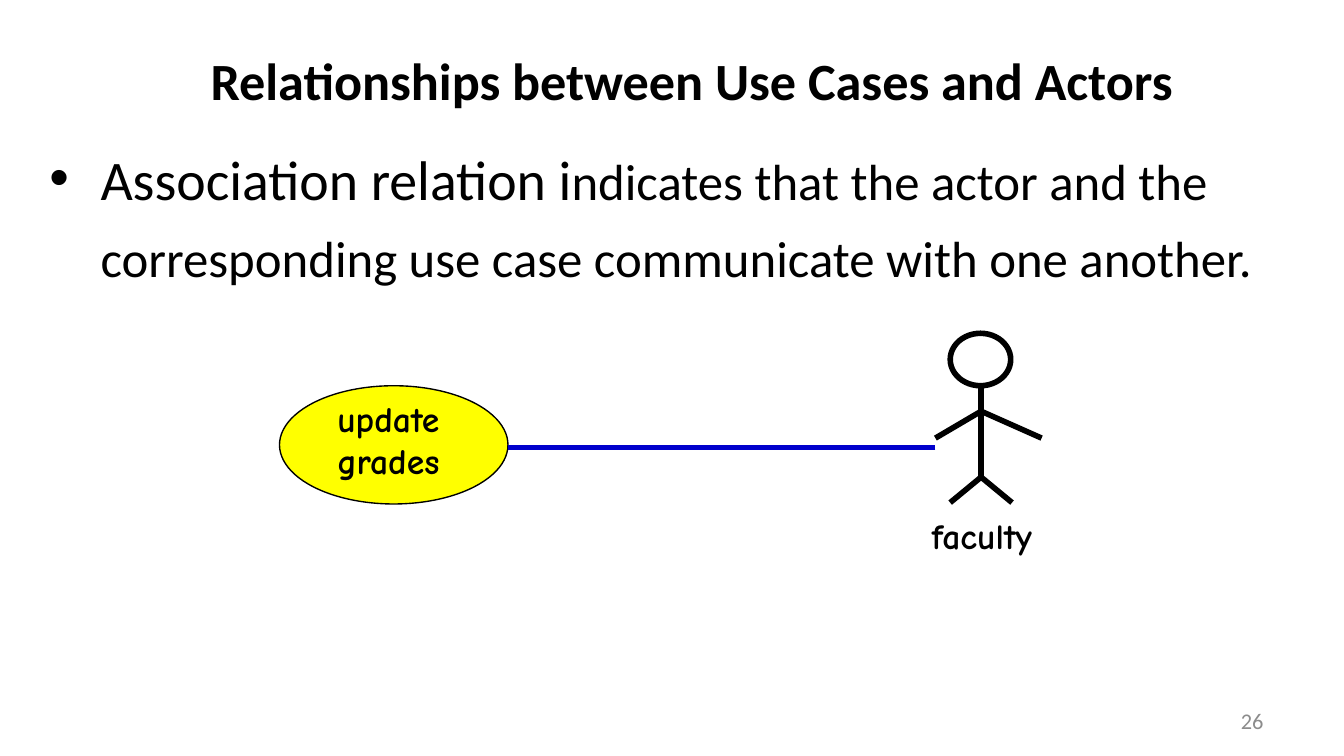
from lxml import etree
from pptx import Presentation
from pptx.dml.color import RGBColor
from pptx.enum.shapes import MSO_CONNECTOR, MSO_SHAPE
from pptx.enum.text import MSO_ANCHOR, PP_ALIGN
from pptx.oxml.ns import qn
from pptx.util import Inches, Pt

LEFT, CENTER, RIGHT = PP_ALIGN.LEFT, PP_ALIGN.CENTER, PP_ALIGN.RIGHT
TOP, MIDDLE = MSO_ANCHOR.TOP, MSO_ANCHOR.MIDDLE
OVAL = MSO_SHAPE.OVAL
STRAIGHT = MSO_CONNECTOR.STRAIGHT

BODY_FONT, LABEL_FONT = "Calibri", "Comic Neue"
BLACK, YELLOW, BLUE, GRAY = "000000", "FFFF00", "0000CC", "8C8C8C"


def color(value):
    return RGBColor.from_string(value)


def add_text(s, box, paragraphs, font=BODY_FONT, fill=BLACK, bold=False,
             align=LEFT, anchor=TOP, inset=(0.1, 0.05)):
    """Each paragraph is a list of (text, size) runs."""
    sp = s.shapes.add_textbox(*map(Inches, box))
    tf = sp.text_frame
    tf.word_wrap = True
    tf.vertical_anchor = anchor
    tf.margin_left = tf.margin_right = Inches(inset[0])
    tf.margin_top = tf.margin_bottom = Inches(inset[1])
    for i, runs in enumerate(paragraphs):
        p = tf.add_paragraph() if i else tf.paragraphs[0]
        p.alignment = align
        for text, size in runs:
            r = p.add_run()
            r.text = text
            r.font.name = font
            r.font.size = Pt(size)
            r.font.bold = bold
            r.font.color.rgb = color(fill)
    return sp


def add_label(s, box, *lines):
    add_text(s, box, [[(line, 19.1)] for line in lines], font=LABEL_FONT,
             bold=True, align=CENTER, inset=(0.07, 0.04))


def add_bullet(p, indent):
    pPr = p._p.get_or_add_pPr()
    pPr.set("marL", str(Inches(indent)))
    pPr.set("indent", str(-Inches(indent)))
    etree.SubElement(pPr, qn("a:buFont"), typeface="Arial")
    etree.SubElement(pPr, qn("a:buChar"), char="•")


def add_ellipse(s, box, width, fill=None):
    sp = s.shapes.add_shape(OVAL, *map(Inches, box))
    sp.shadow.inherit = False
    if fill:
        sp.fill.solid()
        sp.fill.fore_color.rgb = color(fill)
    else:
        sp.fill.background()
    sp.line.color.rgb = color(BLACK)
    sp.line.width = Pt(width)


def add_line(s, start, end, stroke=BLACK):
    line = s.shapes.add_connector(STRAIGHT, *map(Inches, start + end))
    line.line.color.rgb = color(stroke)
    line.line.width = Pt(3)
    etree.SubElement(line._element.spPr, qn("a:effectLst"))


def add_actor(s):
    neck, shoulder, hip = (7.3, 2.87), (7.3, 3.06), (7.3, 3.55)
    add_ellipse(s, (7.07, 2.48, 0.45, 0.39), 3)
    add_line(s, neck, hip)
    for hand in ((7.75, 3.26), (6.96, 3.26)):
        add_line(s, shoulder, hand)
    for foot in ((7.53, 3.74), (7.07, 3.74)):
        add_line(s, hip, foot)
    add_label(s, (6.68, 3.78, 1.25, 0.4), "faculty")


def main():
    prs = Presentation()
    prs.slide_width = Inches(10)
    prs.slide_height = prs.slide_width * 9 // 16
    s = prs.slides.add_slide(prs.slide_layouts[6])

    # Title
    add_text(s, (0.27, 0.13, 9.75, 0.93),
             [[("Relationships between Use Cases and Actors", 28)]],
             bold=True, align=CENTER, anchor=MIDDLE)

    # Definition
    body = add_text(s, (0.27, 0.9, 9.56, 4.07), [[
        ("Association relation i", 29.9),
        ("ndicates that the actor and the corresponding use case "
         "communicate with one another.", 27.2)]])
    p = body.text_frame.paragraphs[0]
    p.line_spacing = 1.25
    p.space_before = Pt(8.2)
    add_bullet(p, 0.38)

    # Use case
    add_ellipse(s, (2.08, 2.87, 1.7, 0.88), 0.75, fill=YELLOW)
    add_label(s, (2.11, 2.91, 1.56, 0.72), "update", "grades")

    # Actor and association
    add_actor(s)
    add_line(s, (6.96, 3.33), (3.78, 3.33), stroke=BLUE)

    # Page number
    add_text(s, (7.17, 5.21, 2.33, 0.3), [[("26", 12)]], fill=GRAY,
             align=RIGHT, anchor=MIDDLE)

    prs.save("out.pptx")


if __name__ == "__main__":
    main()
